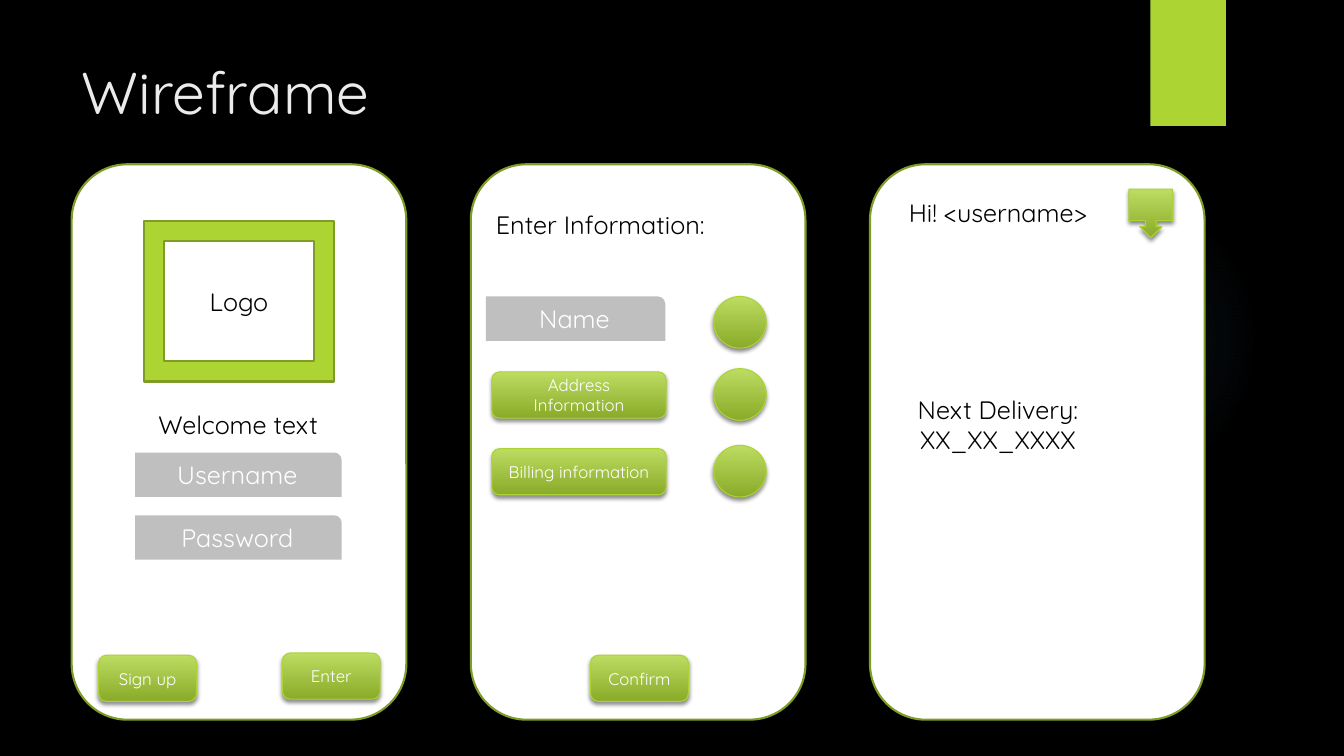
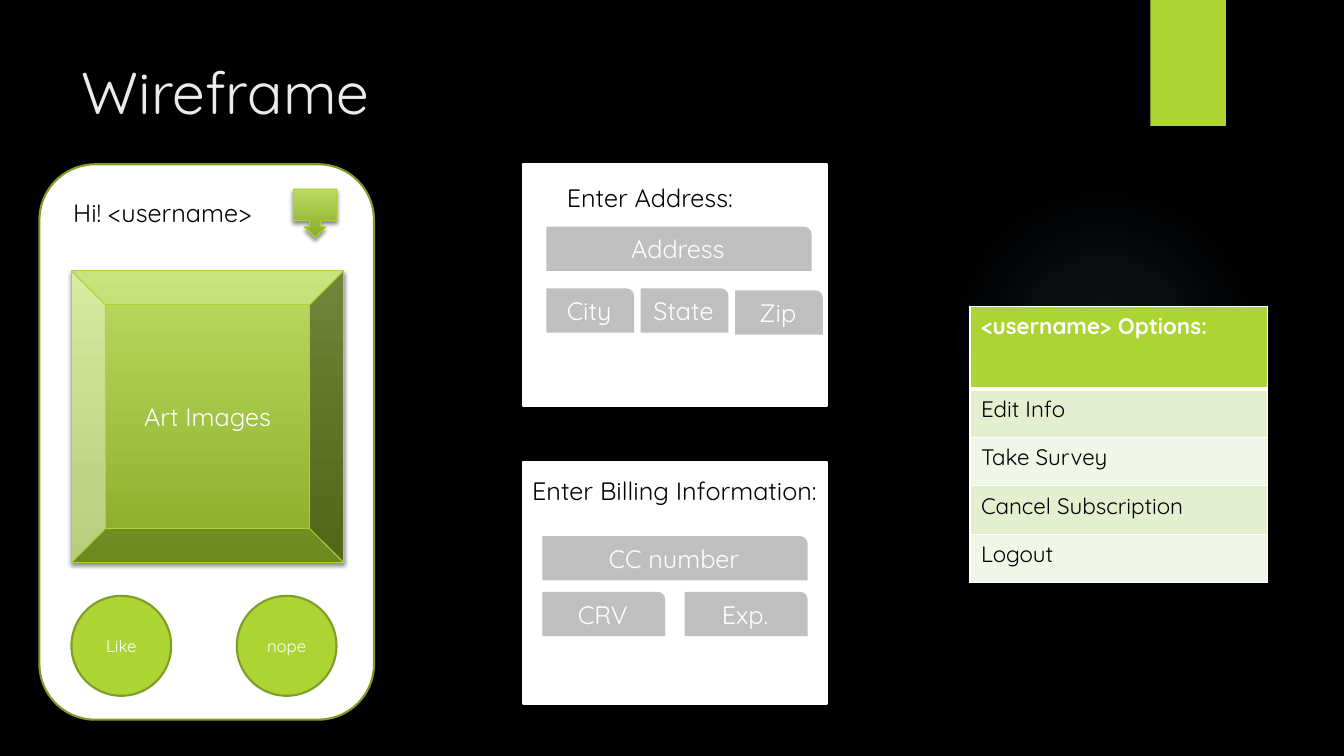
import pptx
import pptx.util
import pptx.dml.color
import pptx.enum.shapes
import pptx.enum.text
import pptx.oxml
import pptx.oxml.ns

SHAPE = pptx.enum.shapes.MSO_SHAPE
ALIGN = pptx.enum.text.PP_ALIGN
ANCHOR = pptx.enum.text.MSO_ANCHOR
Inches, Pt = pptx.util.Inches, pptx.util.Pt

FONT = "Quicksand"
BLACK, WHITE, GRAY, TITLE = "000000", "FFFFFF", "BFBFBF", "EBEBEB"
LIME, OLIVE, GLOW = "ACD433", "7F9D26", "7AC4F0"
GLOSS = ("BCDC62", "8AAA29")
ROWS = ("E3EFCE", "F1F7E8")
SLIDE = (0, 0, 13.33, 7.5)
PHONE_Y, PHONE_W, PHONE_H = 21.73, 24.9, 73.47
LABEL_H, FIELD_H, BUTTON_H = 7.3, 8, 8.3


def rgb(color):
    return pptx.dml.color.RGBColor.from_string(color)


def xml(tag, body):
    return pptx.oxml.parse_xml(
        f'<a:{tag} {pptx.oxml.ns.nsdecls("a")} {body}</a:{tag}>')


def part(box, x, y, w, h):
    """Area given in percent of the enclosing box."""
    left, top, width, height = box
    return (left + width * x / 100, top + height * y / 100,
            width * w / 100, height * h / 100)


def emu(box):
    return [Inches(v) for v in box]


# Text and shapes
def write(tf, text, size=18, color=BLACK, align=ALIGN.CENTER, bold=False,
          anchor=ANCHOR.TOP):
    tf.word_wrap = True
    tf.vertical_anchor = anchor
    p = tf.paragraphs[0]
    p.alignment = align
    r = p.add_run()
    r.text = text
    r.font.name, r.font.size, r.font.bold = FONT, Pt(size), bold
    r.font.color.rgb = rgb(color)


def label(s, box, text, **fmt):
    write(s.shapes.add_textbox(*emu(box)).text_frame, text, **fmt)


def shape(s, kind, box, fill, line=None, width=1.5, text=None, shadow=False,
          **fmt):
    sp = s.shapes.add_shape(kind, *emu(box))
    if isinstance(fill, tuple):
        sp.fill.gradient()
        sp.fill.gradient_angle = 270
        for stop, color in zip(sp.fill.gradient_stops, fill):
            stop.color.rgb = rgb(color)
    else:
        sp.fill.solid()
        sp.fill.fore_color.rgb = rgb(fill)
    if line:
        sp.line.color.rgb = rgb(line)
        sp.line.width = Pt(width)
    else:
        sp.line.fill.background()
    sp.shadow.inherit = False
    if shadow:
        effects = sp._element.spPr.find(pptx.oxml.ns.qn("a:effectLst"))
        effects.append(xml("outerShdw", (
            'blurRad="38100" dist="25400" dir="5400000" rotWithShape="0">'
            f'<a:srgbClr val="{BLACK}"><a:alpha val="45000"/></a:srgbClr>')))
    if text:
        write(sp.text_frame, text, anchor=ANCHOR.MIDDLE, **fmt)
    return sp


def field(s, box, text):
    shape(s, SHAPE.ROUND_1_RECTANGLE, box, GRAY, text=text, color=WHITE)


def glossy(s, kind, box, text=None, size=12):
    shape(s, kind, box, GLOSS, LIME, 0.75, text, True, size=size, color=WHITE)


def button(s, box, text):
    glossy(s, SHAPE.ROUNDED_RECTANGLE, box, text)


# Shared frame of every slide
def wireframe_slide(prs):
    s = prs.slides.add_slide(prs.slide_layouts[5])
    halo = shape(s, SHAPE.OVAL, (9.41, 1.83, 3.08, 3.08), GLOW)
    stops = "".join(
        f'<a:gs pos="{pos}000"><a:srgbClr val="{GLOW}">'
        f'<a:alpha val="{alpha}000"/></a:srgbClr></a:gs>'
        for pos, alpha in ((0, 7), (36, 6), (69, 0), (100, 0)))
    solid = halo._element.spPr.find(pptx.oxml.ns.qn("a:solidFill"))
    solid.getparent().replace(solid, xml("gradFill", (
        f'><a:gsLst>{stops}</a:gsLst><a:path path="circle">'
        '<a:fillToRect l="50000" t="50000" r="50000" b="50000"/></a:path>')))
    shape(s, SHAPE.RECTANGLE, (11.41, 0, 0.75, 1.25), LIME, shadow=True)
    title = s.shapes.title
    title.left, title.top, title.width, title.height = emu(
        (0.71, 0.5, 10.29, 1.53))
    write(title.text_frame, "Wireframe", size=42, color=TITLE,
          align=ALIGN.LEFT)
    return s


def phone(s, x):
    box = part(SLIDE, x, PHONE_Y, PHONE_W, PHONE_H)
    shape(s, SHAPE.ROUNDED_RECTANGLE, box, WHITE, OLIVE)
    return box


def greeting(s, box, x):
    label(s, part(box, x, 5, 69.3, LABEL_H), "Hi! <username>")
    glossy(s, SHAPE.DOWN_ARROW_CALLOUT, part(box, x + 73.8, 4.5, 13, 8.7))


# Phone screens
def login_screen(s, box):
    shape(s, SHAPE.FRAME, part(box, 21.7, 10.2, 56.6, 28.9), LIME, OLIVE,
          text="Logo")
    label(s, part(box, 16.3, 43.2, 66.9, LABEL_H), "Welcome text")
    for y, text in ((51.9, "Username"), (63.2, "Password")):
        field(s, part(box, 19, y, 61.7, FIELD_H), text)
    for x, y, text in ((8.1, 88.4, "Sign up"), (63, 88, "Enter")):
        button(s, part(box, x, y, 29.2, BUTTON_H), text)


def information_screen(s, box):
    label(s, part(box, 1.5, 7.3, 74.4, LABEL_H), "Enter Information:")
    field(s, part(box, 4.5, 23.8, 53.6, FIELD_H), "Name")
    for y, text in ((37.4, "Address Information"),
                    (51.2, "Billing information")):
        button(s, part(box, 6.3, y, 52.1, BUTTON_H), text)
    button(s, part(box, 35.8, 88.4, 29.2, BUTTON_H), "Confirm")
    for y in (23.8, 36.8, 50.6):
        glossy(s, SHAPE.OVAL, part(box, 72.6, y, 15.7, 9.3))


def delivery_screen(s, box):
    greeting(s, box, 3.6)
    label(s, part(box, 3.6, 40.5, 69.3, 12.9), "Next Delivery: XX_XX_XXXX")


def art_screen(s, box):
    greeting(s, box, 2.1)
    glossy(s, SHAPE.BEVEL, part(box, 9.6, 19.2, 81.3, 52.5), "Art Images", 18)
    for x, text in ((9.6, "Like"), (59, "nope")):
        shape(s, SHAPE.OVAL, part(box, x, 77.7, 29.8, 18), LIME, OLIVE,
              text=text, size=12, color=WHITE)


# Entry cards: fields are (x, y, width, text)
def card(s, box, heading, heading_area, fields):
    shape(s, SHAPE.RECTANGLE, box, WHITE, WHITE)
    label(s, part(box, *heading_area), heading)
    for x, y, w, text in fields:
        field(s, part(box, x, y, w, 18.3), text)


# Options menu
def options_table(s, box, texts):
    table = s.shapes.add_table(len(texts), 1, *emu(box)).table
    for i, text in enumerate(texts):
        head = i == 0
        table.rows[i].height = Inches(0.82 if head else 0.48)
        cell = table.cell(i, 0)
        cell.margin_left = cell.margin_right = Inches(0.11)
        cell.margin_top = cell.margin_bottom = Inches(0.06)
        write(cell.text_frame, text, size=16, align=ALIGN.LEFT, bold=head,
              color=WHITE if head else BLACK)
        for side in "LRTB":
            thick = (head and side == "B") or (i == 1 and side == "T")
            cell._tc.get_or_add_tcPr().append(xml("ln" + side, (
                f'w="{Pt(3 if thick else 1)}"><a:solidFill>'
                f'<a:srgbClr val="{WHITE}"/></a:solidFill>')))
        cell.fill.solid()
        cell.fill.fore_color.rgb = rgb(LIME if head else ROWS[(i - 1) % 2])


prs = pptx.Presentation()
prs.slide_width, prs.slide_height = emu(SLIDE[2:])
background = prs.slide_master.background.fill
background.solid()
background.fore_color.rgb = rgb(BLACK)

# Slide 1: three phones at equal steps
s = wireframe_slide(prs)
for i, screen in enumerate((login_screen, information_screen,
                            delivery_screen)):
    screen(s, phone(s, 5.33 + 29.7 * i))

# Slide 2: phone, cards and menu
s = wireframe_slide(prs)
art_screen(s, phone(s, 2.93))
card(s, (5.19, 1.63, 3.01, 2.4), "Enter Address:", (0.7, 5.4, 82, 16.7),
     [(7.6, 25.8, 87.4, "Address"), (7.6, 51.3, 28.9, "City"),
      (38.7, 51.3, 28.9, "State"), (69.8, 52.1, 28.9, "Zip")])
card(s, (5.19, 4.58, 3.01, 2.4), "Enter Billing Information:",
     (-1.7, 3.8, 103, 16.7),
     [(6.3, 30.8, 87.4, "CC number"), (6.3, 53.8, 40.5, "CRV"),
      (53.2, 53.8, 40.5, "Exp.")])
options_table(s, (9.62, 3.04, 2.95, 2.74),
              ["<username> Options:", "Edit Info", "Take Survey",
               "Cancel Subscription", "Logout"])

prs.save("out.pptx")
